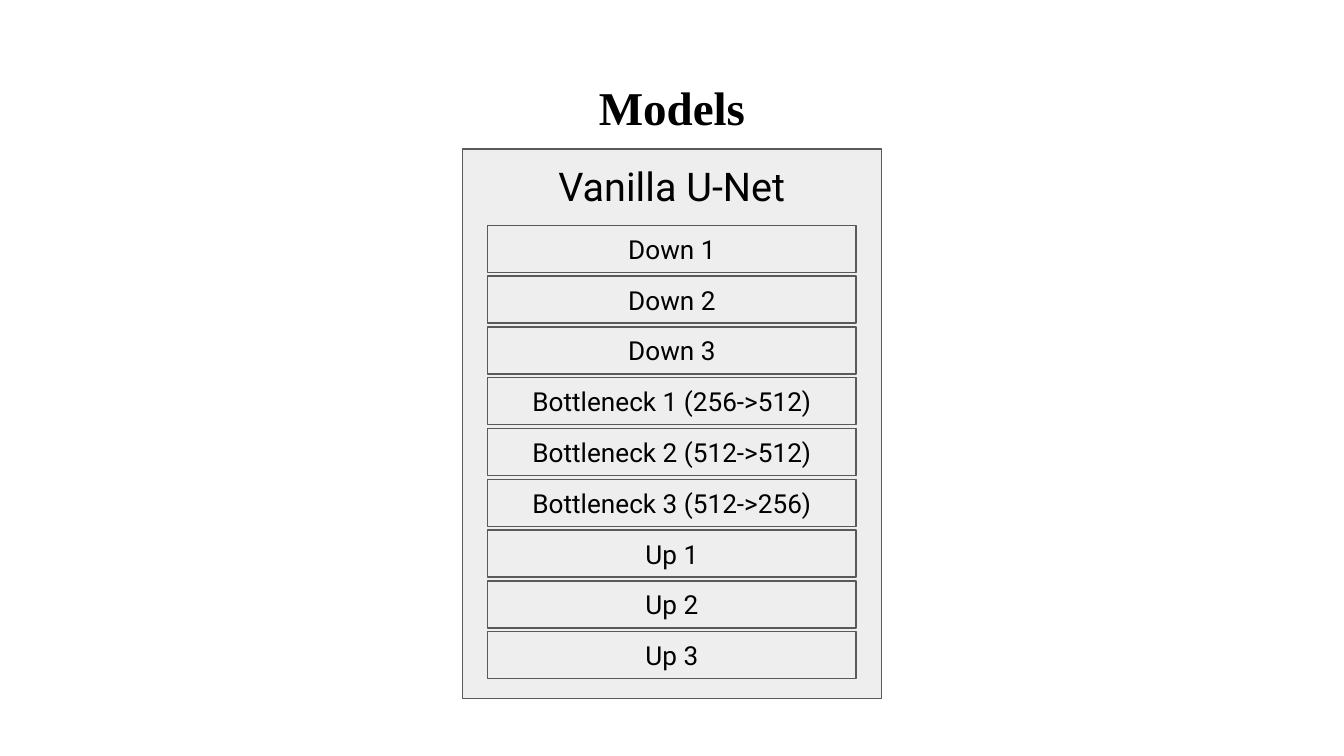
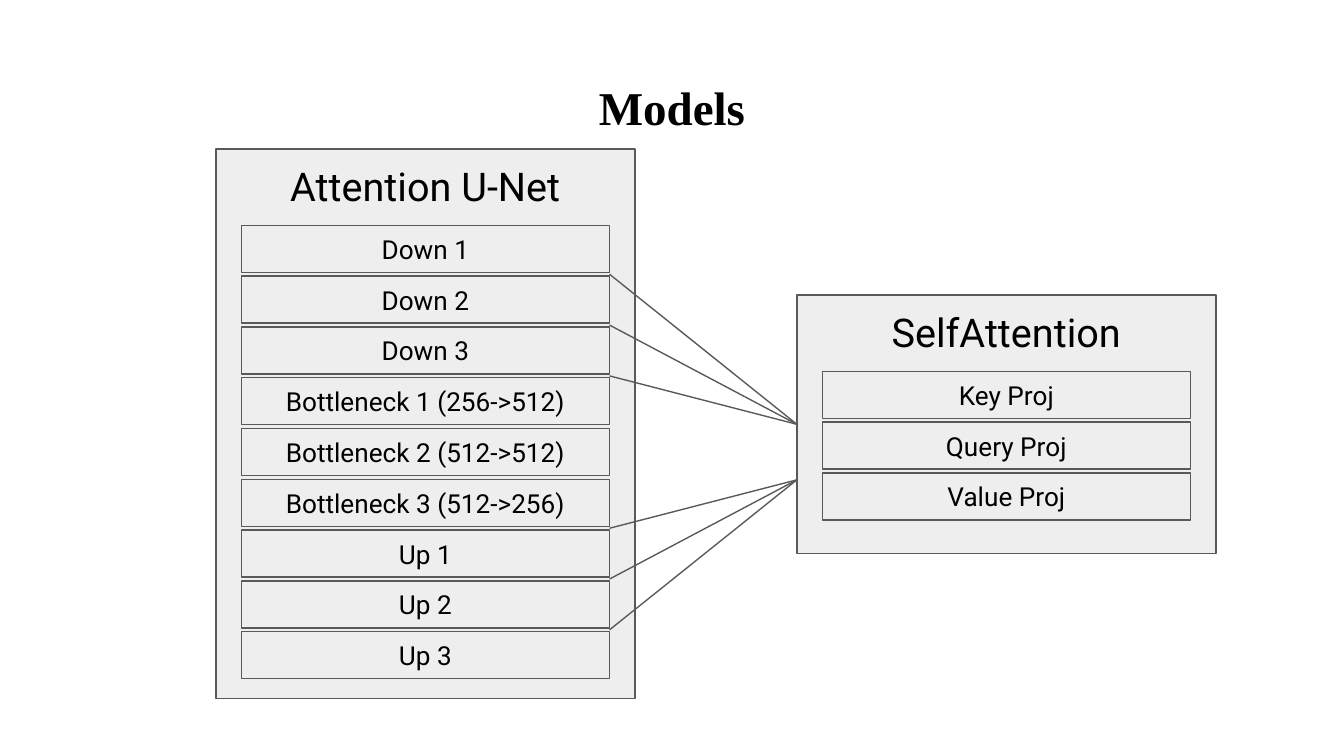
from lxml import etree
from pptx import Presentation
from pptx.dml.color import RGBColor
from pptx.enum.shapes import MSO_CONNECTOR, MSO_SHAPE
from pptx.enum.text import MSO_ANCHOR, PP_ALIGN
from pptx.oxml.ns import qn
from pptx.util import Cm, Pt

RECTANGLE = MSO_SHAPE.RECTANGLE
STRAIGHT = MSO_CONNECTOR.STRAIGHT
TOP, MIDDLE = MSO_ANCHOR.TOP, MSO_ANCHOR.MIDDLE
CENTER = PP_ALIGN.CENTER
LEFT_SIDE = 1

# Sizes in centimetres
SLIDE_WIDTH, SLIDE_HEIGHT = 25.4, 14.29
PANEL_WIDTH = 7.92
LAYER_INSET, LAYER_OFFSET = 0.48, 1.44
LAYER_HEIGHT, LAYER_PITCH = 0.89, 0.96
UNET_TOP, UNET_HEIGHT = 2.82, 10.39

UNET_LAYERS = [
    "Down 1", "Down 2", "Down 3",
    "Bottleneck 1 (256->512)", "Bottleneck 2 (512->512)", "Bottleneck 3 (512->256)",
    "Up 1", "Up 2", "Up 3",
]
ATTENTION_LAYERS = ["Key Proj", "Query Proj", "Value Proj"]


def color(value):
    return RGBColor.from_string(value)


class Deck:
    """Holds the shared style and the current slide."""

    title_font, body_font = "Times New Roman", "Roboto"
    text_color, fill_color, line_color = "000000", "EEEEEE", "595959"
    line_width = 0.75

    def __init__(self):
        self.presentation = Presentation()
        self.presentation.slide_width = Cm(SLIDE_WIDTH)
        self.presentation.slide_height = Cm(SLIDE_HEIGHT)
        self.slide = None

    def add_slide(self, title):
        layout = self.presentation.slide_layouts[6]
        self.slide = self.presentation.slides.add_slide(layout)
        box = self.slide.shapes.add_textbox(Cm(0.86), Cm(1.24), Cm(23.68), Cm(1.6))
        self.set_text(box, title, 25.2, self.title_font, bold=True)

    def set_text(self, shape, text, size, font, anchor=TOP, bold=False):
        frame = shape.text_frame
        frame.word_wrap = True
        frame.vertical_anchor = anchor
        frame.margin_left = frame.margin_right = Cm(0.25)
        frame.margin_top = frame.margin_bottom = Cm(0.25)
        paragraph = frame.paragraphs[0]
        paragraph.alignment = CENTER
        run = paragraph.add_run()
        run.text = text
        run.font.name = font
        run.font.size = Pt(size)
        run.font.bold = bold
        run.font.color.rgb = color(self.text_color)

    def outline(self, line):
        line.color.rgb = color(self.line_color)
        line.width = Pt(self.line_width)

    def box(self, left, top, width, height, text, size, anchor=TOP):
        shape = self.slide.shapes.add_shape(
            RECTANGLE, Cm(left), Cm(top), Cm(width), Cm(height))
        shape.shadow.inherit = False
        shape.fill.solid()
        shape.fill.fore_color.rgb = color(self.fill_color)
        self.outline(shape.line)
        self.set_text(shape, text, size, self.body_font, anchor)
        return shape

    def panel(self, left, top, height, heading, layers):
        """A headed panel with its layers stacked inside."""
        panel = self.box(left, top, PANEL_WIDTH, height, heading, 21.2)
        for index, layer in enumerate(layers):
            self.box(left + LAYER_INSET, top + LAYER_OFFSET + index * LAYER_PITCH,
                     PANEL_WIDTH - 2 * LAYER_INSET, LAYER_HEIGHT, layer, 14, MIDDLE)
        return panel

    def connect(self, start, end, panel=None):
        connector = self.slide.shapes.add_connector(
            STRAIGHT, *(Cm(value) for value in start + end))
        self.outline(connector.line)
        properties = connector._element.spPr
        etree.SubElement(properties, qn("a:effectLst"))
        if panel is not None:
            connector.begin_connect(panel, LEFT_SIDE)


def main():
    deck = Deck()

    # Plain network, centred
    deck.add_slide("Models")
    deck.panel((SLIDE_WIDTH - PANEL_WIDTH) / 2, UNET_TOP, UNET_HEIGHT,
               "Vanilla U-Net", UNET_LAYERS)

    # Network with attention
    deck.add_slide("Models")
    unet_left = 4.08
    attention_left, attention_top, attention_height = 15.06, 5.58, 4.88
    deck.panel(unet_left, UNET_TOP, UNET_HEIGHT, "Attention U-Net", UNET_LAYERS)
    attention = deck.panel(attention_left, attention_top, attention_height,
                           "SelfAttention", ATTENTION_LAYERS)

    # Lines from the attention block to the gaps between layers
    layer_right = unet_left + PANEL_WIDTH - LAYER_INSET
    half_gap = (LAYER_PITCH - LAYER_HEIGHT) / 2
    attention_middle = attention_top + attention_height / 2
    for hub, gaps, panel in [(attention_middle, (1, 2, 3), attention),
                             (9.07, (8, 7, 6), None)]:
        for gap in gaps:
            gap_middle = UNET_TOP + LAYER_OFFSET + gap * LAYER_PITCH - half_gap
            deck.connect((attention_left, hub), (layer_right, gap_middle), panel)

    deck.presentation.save("out.pptx")


if __name__ == "__main__":
    main()
